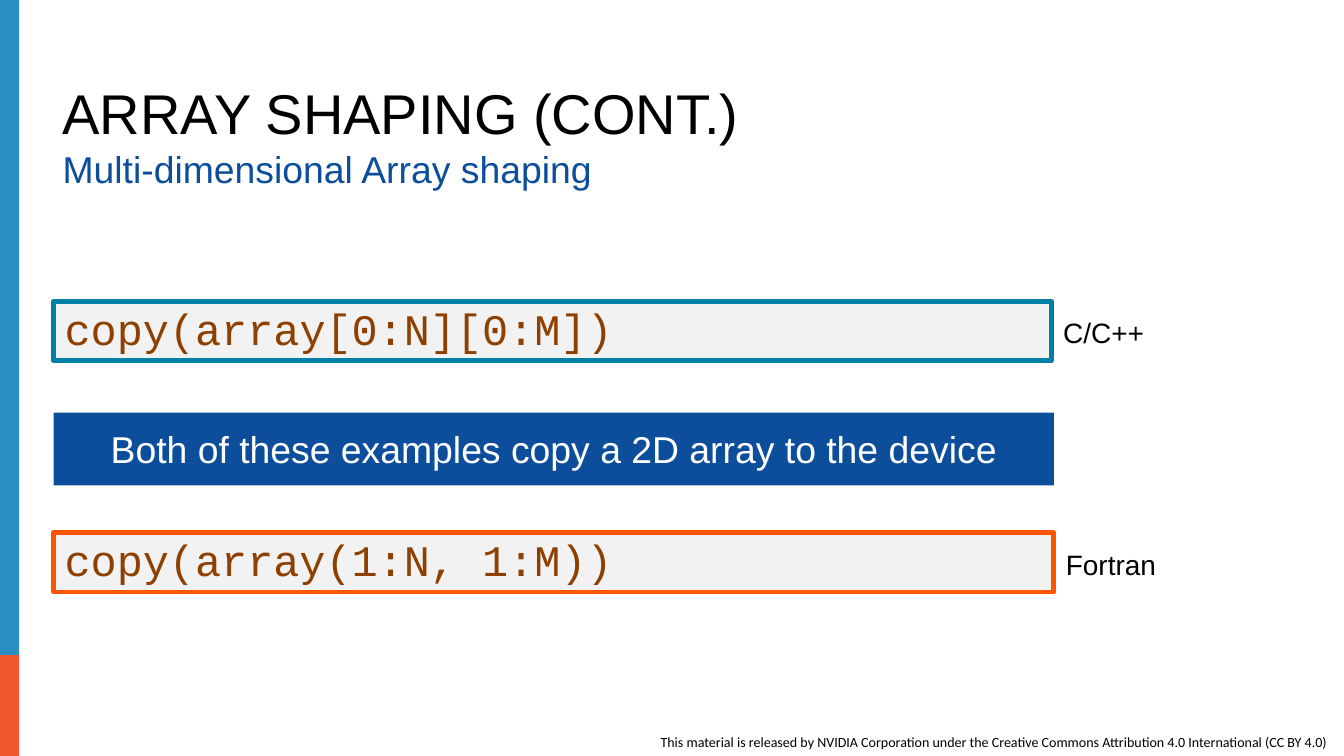
from pptx import Presentation
from pptx.dml.color import RGBColor
from pptx.enum import shapes, text
from pptx.util import Pt

BLACK = RGBColor(0x00, 0x00, 0x00)
WHITE = RGBColor(0xFF, 0xFF, 0xFF)
NAVY = RGBColor(0x0C, 0x4E, 0x9B)
BLUE = RGBColor(0x29, 0x8E, 0xC2)
ORANGE = RGBColor(0xF1, 0x56, 0x2D)
TEAL = RGBColor(0x00, 0x80, 0xA7)
FORTRAN_ORANGE = RGBColor(0xFF, 0x54, 0x00)
CODE_BROWN = RGBColor(0x8E, 0x40, 0x00)
CODE_GREY = RGBColor(0xF2, 0xF2, 0xF2)

LEFT, MIDDLE = text.PP_ALIGN.LEFT, text.MSO_ANCHOR.MIDDLE
CENTER = text.PP_ALIGN.CENTER


def write(shape, words, size, color, font="Arial", align=LEFT,
          anchor=text.MSO_ANCHOR.TOP, spacing=0.9, wrap=True):
    frame = shape.text_frame
    frame.auto_size = text.MSO_AUTO_SIZE.NONE
    frame.word_wrap = wrap
    frame.vertical_anchor = anchor
    frame.margin_left = frame.margin_right = Pt(7.2)
    frame.margin_top = frame.margin_bottom = Pt(3.6)
    paragraph = frame.paragraphs[0]
    paragraph.alignment = align
    paragraph.line_spacing = spacing
    run = paragraph.add_run()
    run.text = words
    run.font.name = font
    run.font.size = Pt(size)
    run.font.color.rgb = color


def add_text(slide, left, top, width, height, words, size, color, **style):
    box = slide.shapes.add_textbox(Pt(left), Pt(top), Pt(width), Pt(height))
    write(box, words, size, color, **style)


def add_rectangle(slide, left, top, width, height, fill, line=None):
    shape = slide.shapes.add_shape(
        shapes.MSO_SHAPE.RECTANGLE, Pt(left), Pt(top), Pt(width), Pt(height))
    shape.shadow.inherit = False
    shape.fill.solid()
    shape.fill.fore_color.rgb = fill
    if line is None:
        shape.line.fill.background()
    else:
        shape.line.color.rgb = line
        shape.line.width = Pt(3)
    return shape


def add_side_bar(slide, left, top, width, height):
    split = 421.2
    add_rectangle(slide, left, top, width, split, BLUE)
    add_rectangle(slide, left, top + split, width, height - split, ORANGE)


def add_heading(slide, left, top, width, title_words, subtitle_words):
    title = slide.shapes.title
    title.left, title.top = Pt(left), Pt(top)
    title.width, title.height = Pt(width), Pt(46.8)
    write(title, title_words, 36, BLACK, anchor=text.MSO_ANCHOR.BOTTOM)
    add_text(slide, left, top + 42.5, width, 41, subtitle_words, 24, NAVY)


def add_code_row(slide, left, top, width, code, line, language, label_width):
    height, label_height = 38.2, 26.6
    box = add_rectangle(slide, left, top, width, height, CODE_GREY, line)
    write(box, code, 28, CODE_BROWN, font="Courier New", anchor=MIDDLE)
    add_text(slide, left + width, top + 8.3, label_width, label_height,
             language, 18, BLACK, align=CENTER, anchor=MIDDLE, wrap=False)


def add_banner(slide, left, top, width, height, words):
    banner = add_rectangle(slide, left, top, width, height, NAVY)
    write(banner, words, 24, WHITE, align=CENTER, anchor=MIDDLE, spacing=1.0)


def add_license(slide, left, top, width, height, words):
    add_text(slide, left, top, width, height, words, 9, BLACK,
             font="Calibri", spacing=1.0, wrap=False)


def main():
    presentation = Presentation()
    presentation.slide_width, presentation.slide_height = Pt(864), Pt(486)
    slide = presentation.slides.add_slide(presentation.slide_layouts[5])
    add_license(slide, 417.6, 468, 446.4, 18,
                "This material is released by NVIDIA Corporation under the "
                "Creative Commons Attribution 4.0 International (CC BY 4.0)")
    add_side_bar(slide, 0, 0, 12.4, 486)
    add_heading(slide, 33.1, 51.1, 785.5, "ARRAY SHAPING (CONT.)",
                "Multi-dimensional Array shaping")
    add_code_row(slide, 34.5, 193.7, 641.5, "copy(array[0:N][0:M])",
                 TEAL, "C/C++", 67)
    add_banner(slide, 34.5, 265.2, 643, 46.8,
               "Both of these examples copy a 2D array to the device")
    add_code_row(slide, 34.5, 342.5, 643, "copy(array(1:N, 1:M))",
                 FORTRAN_ORANGE, "Fortran", 73.4)
    presentation.save("out.pptx")


if __name__ == "__main__":
    main()
